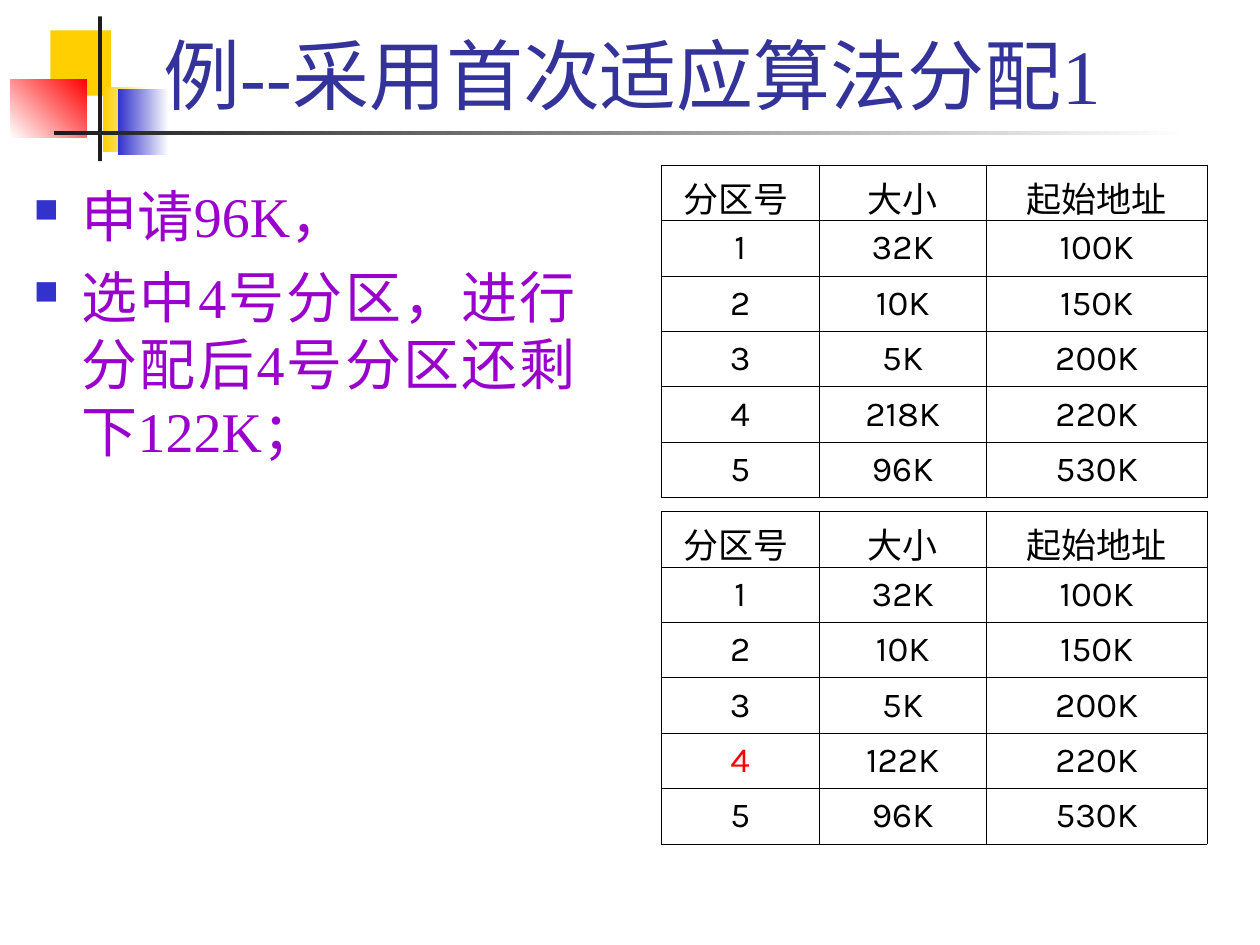
from lxml.etree import SubElement
from pptx import Presentation
from pptx.dml.color import RGBColor
from pptx.enum.shapes import MSO_SHAPE
from pptx.enum.text import MSO_ANCHOR, PP_ALIGN
from pptx.oxml.ns import qn
from pptx.util import Inches, Pt

WHITE = RGBColor(0xFF, 0xFF, 0xFF)
BLACK = RGBColor(0x00, 0x00, 0x00)
INK = RGBColor(0x1C, 0x1C, 0x1C)
YELLOW = RGBColor(0xFF, 0xCF, 0x01)
BLUE = RGBColor(0x33, 0x33, 0xCC)
RED = RGBColor(0xFF, 0x00, 0x00)
NAVY = RGBColor(0x33, 0x33, 0x99)
PURPLE = RGBColor(0x99, 0x00, 0xCC)
SERIF, SANS = "Times New Roman", "Karla"

# Content
TITLE = "例--采用首次适应算法分配1"
POINTS = ["申请96K，", "选中4号分区，进行分配后4号分区还剩下122K；"]
HEADER = ("分区号 ", "大小", "起始地址")
STARTS = ["100K", "150K", "200K", "220K", "530K"]
# top, sizes of the partitions, number of the changed partition
TABLES = [
    (1.31, ["32K", "10K", "5K", "218K", "96K"], None),
    (4.06, ["32K", "10K", "5K", "122K", "96K"], 4),
]
TABLE_LEFT, COLUMN_WIDTHS, ROW_HEIGHT = 5.25, (1.25, 1.33, 1.75), 0.44

# Ornament: left, top, width, height, colours from start to end, gradient angle
ORNAMENT = [
    (0.4, 0.24, 0.48, 0.52, (YELLOW,), None),
    (0.82, 0.69, 0.36, 0.52, (WHITE, YELLOW), 180),
    (0.94, 0.71, 0.4, 0.52, (WHITE, BLUE), 180),
    (0.08, 0.63, 0.61, 0.46, (RED, WHITE), 225),
    (0.78, 0.13, 0.03, 1.15, (INK,), None),
    (0.43, 1.04, 9, 0.03, (WHITE, INK), 180),
]


def add_block(page, left, top, width, height, colours, angle):
    block = page.shapes.add_shape(
        MSO_SHAPE.RECTANGLE, Inches(left), Inches(top), Inches(width), Inches(height))
    block.shadow.inherit = False
    block.line.fill.background()
    if angle is None:
        block.fill.solid()
        block.fill.fore_color.rgb = colours[0]
        return
    block.fill.gradient()
    block.fill.gradient_angle = angle
    for position, (stop, colour) in enumerate(zip(block.fill.gradient_stops, colours)):
        stop.position = position
        stop.color.rgb = colour


def add_box(page, left, top, width, height, anchor):
    box = page.shapes.add_textbox(
        Inches(left), Inches(top), Inches(width), Inches(height))
    box.text_frame.word_wrap = True
    box.text_frame.vertical_anchor = anchor
    return box.text_frame


def style(para, name, size, colour):
    para.font.name = name
    para.font.size = Pt(size)
    para.font.color.rgb = colour


def add_bullet(para):
    props = para._p.get_or_add_pPr()
    props.set("marL", str(Inches(0.38)))
    props.set("indent", str(Inches(-0.38)))
    colour = SubElement(props, qn("a:buClr"))
    SubElement(colour, qn("a:srgbClr"), val=str(BLUE))
    SubElement(props, qn("a:buSzPct"), val="60000")
    SubElement(props, qn("a:buChar"), char="■")


def outline(cell):
    props = cell._tc.get_or_add_tcPr()
    for position, side in enumerate(("lnL", "lnR", "lnT", "lnB")):
        line = props.makeelement(qn(f"a:{side}"), {"w": str(Pt(0.45))})
        fill = SubElement(line, qn("a:solidFill"))
        SubElement(fill, qn("a:srgbClr"), val=str(BLACK))
        props.insert(position, line)


def add_partition_table(page, top, sizes, changed):
    numbers = [str(n) for n in range(1, len(sizes) + 1)]
    rows = [HEADER, *zip(numbers, sizes, STARTS)]
    table = page.shapes.add_table(
        len(rows), len(HEADER), Inches(TABLE_LEFT), Inches(top),
        Inches(sum(COLUMN_WIDTHS)), Inches(ROW_HEIGHT * len(rows))).table
    table.first_row = table.horz_banding = False
    for column, width in zip(table.columns, COLUMN_WIDTHS):
        column.width = Inches(width)
    for r, row in enumerate(rows):
        table.rows[r].height = Inches(ROW_HEIGHT)
        for c, text in enumerate(row):
            cell = table.cell(r, c)
            cell.fill.background()
            cell.vertical_anchor = MSO_ANCHOR.MIDDLE
            outline(cell)
            para = cell.text_frame.paragraphs[0]
            para.text = text
            para.alignment = PP_ALIGN.CENTER
            style(para, SERIF if r == c == 0 else SANS, 20,
                  RED if r == changed and c == 0 else BLACK)


deck = Presentation()
deck.slide_width, deck.slide_height = Inches(10), Inches(7.5)
page = deck.slides.add_slide(deck.slide_layouts[6])

for block in ORNAMENT:
    add_block(page, *block)

# Title
para = add_box(page, 1.2, 0.17, 8.52, 0.83, MSO_ANCHOR.BOTTOM).paragraphs[0]
para.text = TITLE
style(para, SERIF, 44, NAVY)

# Bulleted points
frame = add_box(page, 0.17, 1.39, 4.5, 4.96, MSO_ANCHOR.TOP)
for i, text in enumerate(POINTS):
    para = frame.add_paragraph() if i else frame.paragraphs[0]
    para.text = text
    para.alignment = PP_ALIGN.JUSTIFY
    if i:
        para.space_before = Pt(8)
    add_bullet(para)
    style(para, SERIF, 32, PURPLE)

# Partitions before and after the allocation
for top, sizes, changed in TABLES:
    add_partition_table(page, top, sizes, changed)

deck.save("out.pptx")
